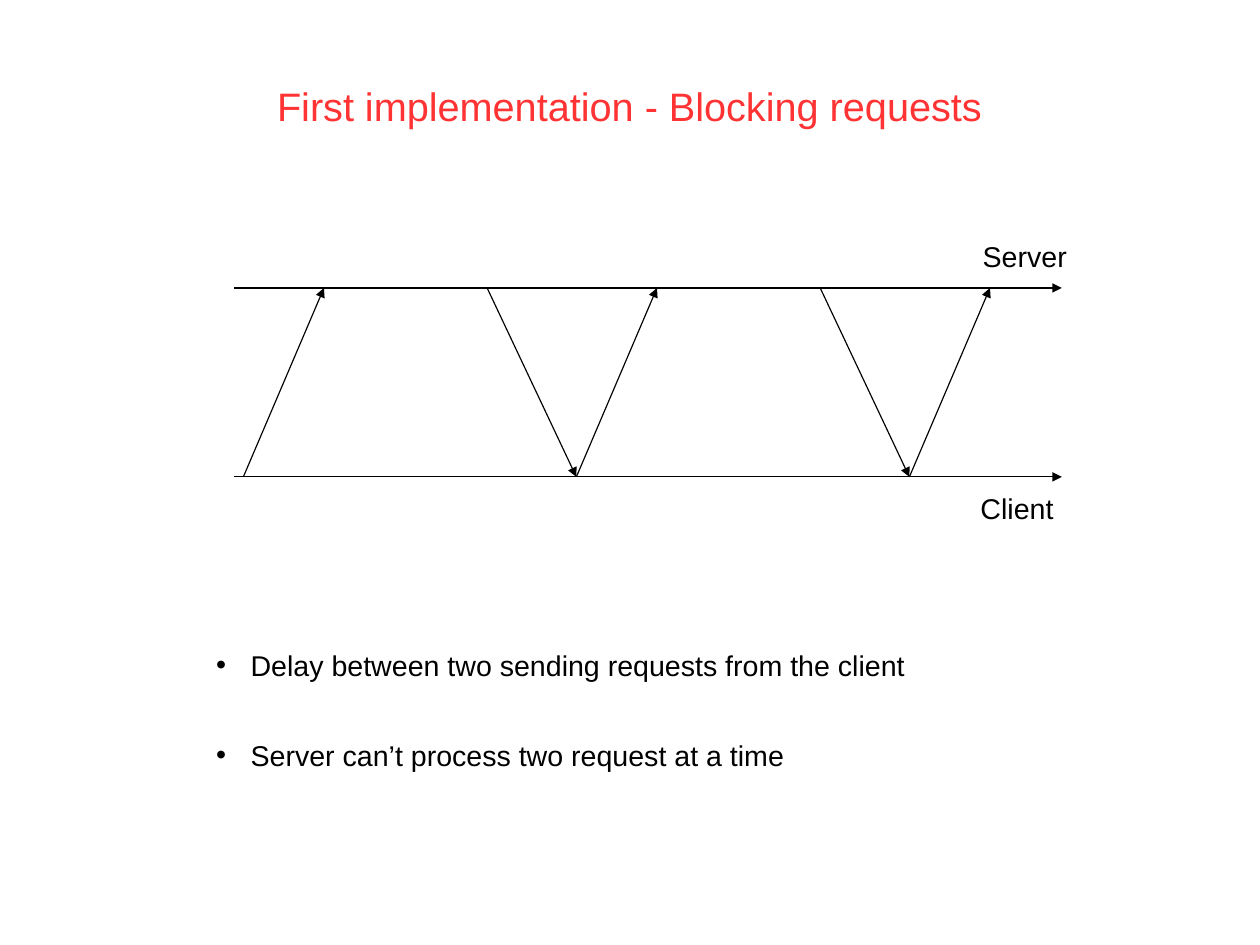
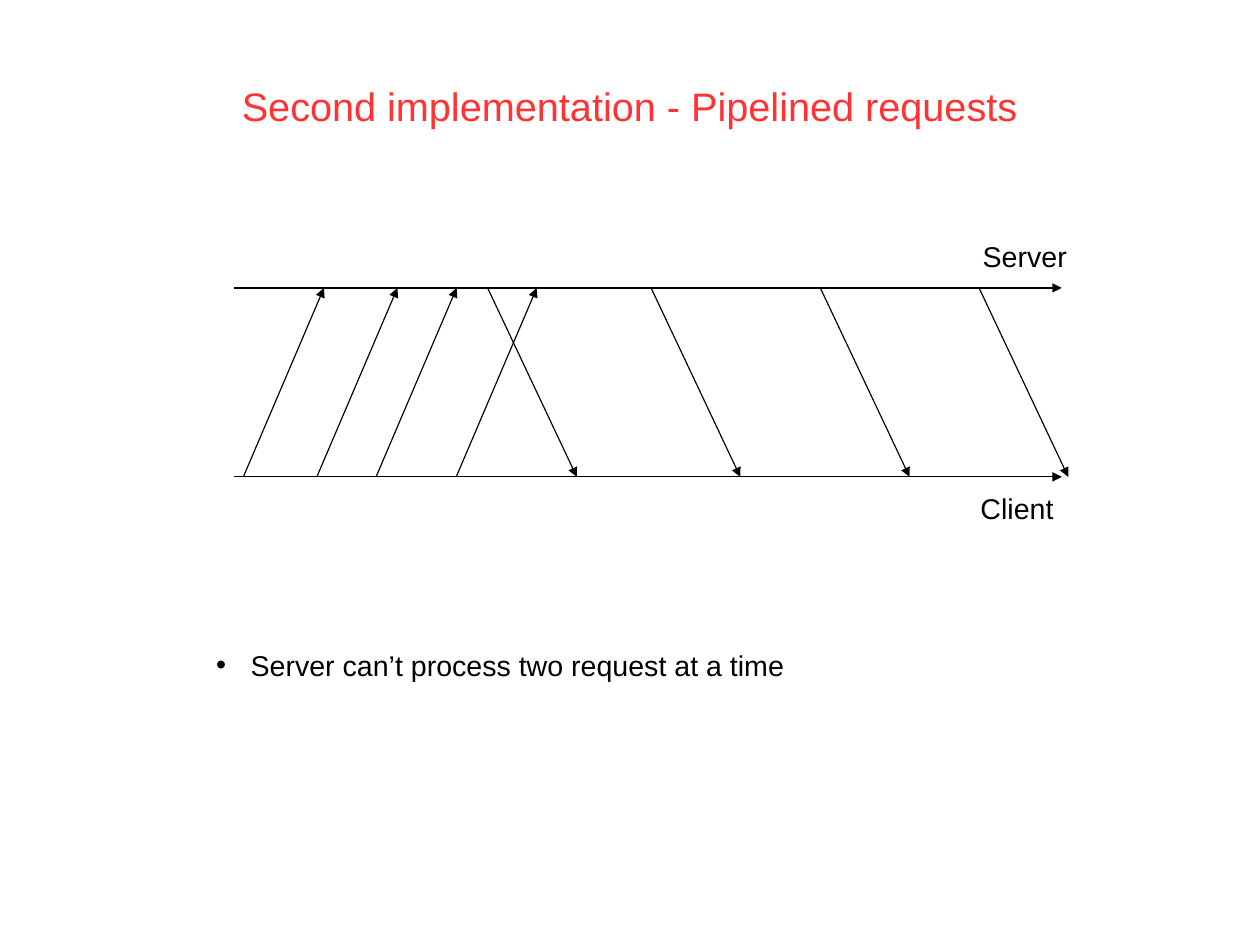
from dataclasses import dataclass

from lxml.etree import SubElement
from pptx import Presentation
from pptx.dml.color import RGBColor
from pptx.enum.shapes import MSO_CONNECTOR
from pptx.enum.text import MSO_ANCHOR, MSO_AUTO_SIZE, PP_ALIGN
from pptx.oxml.ns import qn
from pptx.shapes.base import BaseShape
from pptx.slide import Slide
from pptx.text.text import TextFrame
from pptx.util import Pt


@dataclass(frozen=True)
class Theme:
    font: str = "Arial"
    title_color: RGBColor = RGBColor(0xFF, 0x33, 0x33)
    ink: RGBColor = RGBColor(0x00, 0x00, 0x00)
    title_size: float = 25
    text_size: float = 18
    line_width: float = 0.75
    line_spacing: float = 0.93
    bullet_spacing: float = 56.6
    bullet_indent: float = 21.8


@dataclass(frozen=True)
class Box:
    left: float
    top: float
    width: float
    height: float


@dataclass(frozen=True)
class Label:
    text: str
    box: Box


@dataclass(frozen=True)
class Arrow:
    start_x: float
    start_y: float
    end_x: float
    end_y: float


@dataclass(frozen=True)
class Scheme:
    title: str
    request_starts: list[float]
    response_starts: list[float]
    bullets: list[str]


THEME = Theme()
SLIDE_WIDTH, SLIDE_HEIGHT = 793.75, 595.25

# Timeline geometry, in points
SERVER_Y, CLIENT_Y = 181.4, 300.4
AXIS_LEFT, AXIS_RIGHT = 147.6, 668.9
REQUEST_RUN, RESPONSE_RUN = 50.8, 56.2
FIRST_REQUEST = 153.3
ROUND_TRIP = 209.8

AXES = [Arrow(AXIS_LEFT, y, AXIS_RIGHT, y) for y in (SERVER_Y, CLIENT_Y)]
LABELS = [
    Label("Server", Box(612, 147.6, 67, 27.4)),
    Label("Client", Box(610.6, 306, 60.5, 27.4)),
]
TITLE_BOX = Box(138, 50.6, 517, 34.6)
BULLETS_BOX = Box(128.9, 369.4, 463.7, 121)

# A blocking client sends again only when the previous response arrives
BLOCKING_REQUESTS = [FIRST_REQUEST + ROUND_TRIP * index for index in range(3)]

SCHEMES = [
    Scheme(
        "First implementation - Blocking requests",
        BLOCKING_REQUESTS,
        [start - RESPONSE_RUN for start in BLOCKING_REQUESTS[1:]],
        [
            "Delay between two sending requests from the client",
            "Server can’t process two request at a time",
        ],
    ),
    Scheme(
        "Second implementation - Pipelined requests",
        [FIRST_REQUEST, 199.6, 236.9, 287.4],
        [307.2, 410.2, 516.8, 616.8],
        ["Server can’t process two request at a time"],
    ),
]


def place(shape: BaseShape, box: Box) -> None:
    shape.left, shape.top = Pt(box.left), Pt(box.top)
    shape.width, shape.height = Pt(box.width), Pt(box.height)


def format_text(frame: TextFrame, size: float, color: RGBColor,
                alignment: PP_ALIGN, top_margin: float = 3.6) -> None:
    frame.auto_size = MSO_AUTO_SIZE.NONE
    frame.vertical_anchor = MSO_ANCHOR.TOP
    frame.margin_left = frame.margin_right = Pt(7.2)
    frame.margin_top, frame.margin_bottom = Pt(top_margin), Pt(3.6)
    for paragraph in frame.paragraphs:
        paragraph.alignment = alignment
        paragraph.line_spacing = THEME.line_spacing
        paragraph.space_before = paragraph.space_after = Pt(0)
        for run in paragraph.runs:
            run.font.name = THEME.font
            run.font.size = Pt(size)
            run.font.color.rgb = color


def add_title(slide: Slide, text: str) -> None:
    title = slide.shapes.title
    place(title, TITLE_BOX)
    title.text_frame.text = text
    format_text(title.text_frame, THEME.title_size, THEME.title_color, PP_ALIGN.CENTER)


def add_label(slide: Slide, label: Label) -> None:
    box = label.box
    shape = slide.shapes.add_textbox(Pt(box.left), Pt(box.top), Pt(box.width), Pt(box.height))
    shape.text_frame.text = label.text
    shape.text_frame.word_wrap = False
    format_text(shape.text_frame, THEME.text_size, THEME.ink, PP_ALIGN.LEFT, top_margin=5)


def add_arrow(slide: Slide, arrow: Arrow) -> None:
    connector = slide.shapes.add_connector(
        MSO_CONNECTOR.STRAIGHT,
        Pt(arrow.start_x), Pt(arrow.start_y), Pt(arrow.end_x), Pt(arrow.end_y),
    )
    connector.line.color.rgb = THEME.ink
    connector.line.width = Pt(THEME.line_width)
    properties = connector.element.spPr
    SubElement(properties.find(qn("a:ln")), qn("a:tailEnd"), type="triangle")
    SubElement(properties, qn("a:effectLst"))


def add_bullets(slide: Slide, bullets: list[str]) -> None:
    body = slide.placeholders[1]
    place(body, BULLETS_BOX)
    frame = body.text_frame
    frame.text = "\n".join(bullets)
    format_text(frame, THEME.text_size, THEME.ink, PP_ALIGN.LEFT)
    indent = Pt(THEME.bullet_indent)
    for paragraph in frame.paragraphs:
        paragraph.line_spacing = Pt(THEME.bullet_spacing)
        properties = paragraph._p.get_or_add_pPr()
        properties.set("marL", str(indent))
        properties.set("indent", str(-indent))
        SubElement(properties, qn("a:buChar"), char="•")


def build_slide(presentation: Presentation, scheme: Scheme) -> None:
    slide = presentation.slides.add_slide(presentation.slide_layouts[1])
    add_title(slide, scheme.title)

    # Timelines with their names
    for axis in AXES:
        add_arrow(slide, axis)
    for label in LABELS:
        add_label(slide, label)

    # Messages between client and server
    for start in scheme.request_starts:
        add_arrow(slide, Arrow(start, CLIENT_Y, start + REQUEST_RUN, SERVER_Y))
    for start in scheme.response_starts:
        add_arrow(slide, Arrow(start, SERVER_Y, start + RESPONSE_RUN, CLIENT_Y))

    add_bullets(slide, scheme.bullets)


def main() -> None:
    presentation = Presentation()
    presentation.slide_width, presentation.slide_height = Pt(SLIDE_WIDTH), Pt(SLIDE_HEIGHT)
    for scheme in SCHEMES:
        build_slide(presentation, scheme)
    presentation.save("out.pptx")


if __name__ == "__main__":
    main()
